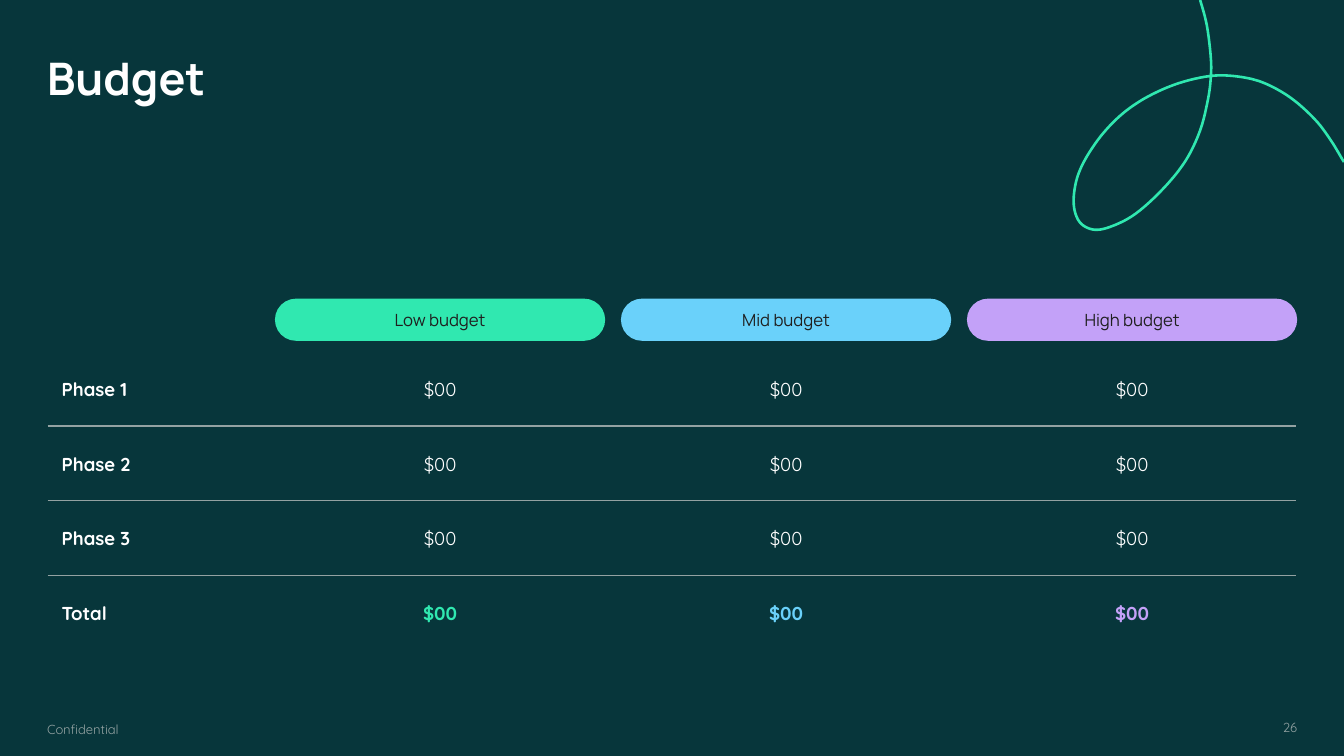
from dataclasses import dataclass

from lxml import etree
from pptx import Presentation
from pptx import util as u
from pptx.dml.color import RGBColor
from pptx.enum import shapes, text
from pptx.oxml import ns


@dataclass(frozen=True)
class Theme:
    background: str = "07363B"
    white: str = "FFFFFF"
    dark: str = "1F1F1F"
    muted: str = "93A2A2"
    green: str = "30E8B0"
    blue: str = "6AD1FA"
    violet: str = "C3A1F8"
    heading_font: str = "Manrope"
    body_font: str = "Quicksand"
    title_size: float = 24
    cell_size: float = 10
    pill_size: float = 9
    small_size: float = 7


LEFT, CENTER, RIGHT = text.PP_ALIGN.LEFT, text.PP_ALIGN.CENTER, text.PP_ALIGN.RIGHT


class SlideBuilder:
    """Holds the theme and the current slide; all lengths are points."""

    def __init__(self, slide, theme):
        self.slide = slide
        self.theme = theme
        fill = slide.background.fill
        fill.solid()
        fill.fore_color.rgb = RGBColor.from_string(theme.background)

    def set_words(self, shape, words, size, color, font=None, bold=False, align=LEFT,
                  anchor=text.MSO_ANCHOR.TOP, bottom=7.2):
        frame = shape.text_frame
        frame.text = words
        frame.word_wrap = True
        frame.auto_size = text.MSO_AUTO_SIZE.NONE
        frame.vertical_anchor = anchor
        frame.margin_left = frame.margin_right = frame.margin_top = u.Pt(7.2)
        frame.margin_bottom = u.Pt(bottom)
        paragraph = frame.paragraphs[0]
        paragraph.alignment = align
        paragraph.space_before = u.Pt(0)
        run_font = paragraph.runs[0].font
        run_font.name = font or self.theme.body_font
        run_font.size = u.Pt(size)
        run_font.bold = bold
        run_font.color.rgb = RGBColor.from_string(color)
        return paragraph

    def placeholder(self, index, box, words, size, color, **style):
        shape = self.slide.placeholders[index]
        shape.left, shape.top, shape.width, shape.height = map(u.Pt, box)
        return self.set_words(shape, words, size, color, **style)

    def label(self, box, words, size, color, **style):
        shape = self.slide.shapes.add_textbox(*map(u.Pt, box))
        return self.set_words(shape, words, size, color, **style)

    def pill(self, box, words, color):
        shape = self.slide.shapes.add_shape(
            shapes.MSO_SHAPE.ROUNDED_RECTANGLE, *map(u.Pt, box))
        shape.adjustments[0] = 0.5
        shape.shadow.inherit = False
        shape.fill.solid()
        shape.fill.fore_color.rgb = RGBColor.from_string(color)
        shape.line.fill.background()
        self.set_words(shape, words, self.theme.pill_size, self.theme.dark,
                       font=self.theme.heading_font, align=CENTER,
                       anchor=text.MSO_ANCHOR.MIDDLE)

    def rule(self, left, right, y):
        line = self.slide.shapes.add_connector(
            shapes.MSO_CONNECTOR.STRAIGHT, u.Pt(left), u.Pt(y), u.Pt(right), u.Pt(y))
        line.line.color.rgb = RGBColor.from_string(self.theme.muted)
        line.line.width = u.Pt(0.75)
        etree.SubElement(line._element.spPr, ns.qn("a:effectLst"))

    def curve(self, knots, color, width, steps=6):
        """Draw a smooth open line through the knots (Catmull-Rom)."""
        padded = [knots[0], *knots, knots[-1]]
        points = [knots[0]]
        for a, b, c, d in zip(padded, padded[1:], padded[2:], padded[3:]):
            for step in range(1, steps + 1):
                t = step / steps
                points.append(tuple(
                    q + t / 2 * (r - p + t * (2 * p - 5 * q + 4 * r - s
                                              + t * (3 * q - p - 3 * r + s)))
                    for p, q, r, s in zip(a, b, c, d)))
        points = [(u.Pt(x), u.Pt(y)) for x, y in points]
        builder = self.slide.shapes.build_freeform(*points[0])
        builder.add_line_segments(points[1:], close=False)
        shape = builder.convert_to_shape()
        shape.shadow.inherit = False
        shape.fill.background()
        shape.line.color.rgb = RGBColor.from_string(color)
        shape.line.width = u.Pt(width)


LOOP = [
    (643, 0), (646.6, 13.7), (648.7, 31), (648.7, 41), (647.3, 52.6), (643, 69.8),
    (635, 86.4), (622.8, 101.5), (608.4, 114.5), (596.2, 121), (586.8, 123.1),
    (579.6, 120.2), (576, 113.8), (575.3, 105.1), (577.4, 94.3), (582.5, 83.5),
    (591.1, 71.3), (601.9, 60.5), (614.9, 51.8), (631.4, 44.6), (648.7, 40.7),
    (663.1, 41), (676.8, 44.3), (691.2, 52.2), (704.2, 63.7), (712.8, 74.9),
    (720, 86.8),
]


def main():
    theme = Theme()
    presentation = Presentation()
    presentation.slide_width, presentation.slide_height = u.Pt(720), u.Pt(405)
    slide = presentation.slides.add_slide(presentation.slide_layouts[0])
    builder = SlideBuilder(slide, theme)

    # Decorative loop, title, footer
    builder.curve(LOOP, theme.green, 1.4)
    builder.placeholder(0, (18, 20.2, 378, 44), "Budget", theme.title_size,
                        theme.white, font=theme.heading_font, bold=True)
    footer = builder.placeholder(1, (18, 378, 88, 24.5), "Confidential",
                                 theme.small_size, theme.muted)
    footer.line_spacing = 1.15
    builder.label((529.2, 378, 172.8, 23), "26", theme.small_size, theme.muted,
                  align=RIGHT)

    # Budget grid
    budgets = [("Low budget", theme.green), ("Mid budget", theme.blue),
               ("High budget", theme.violet)]
    rows = ["Phase 1", "Phase 2", "Phase 3", "Total"]
    pill_left, pill_width, column_step = 147.3, 176.9, 185.35
    row_top, row_step = 195.2, 40
    cell_width, cell_height = 60, 19.5

    # Column heads
    for column, (name, color) in enumerate(budgets):
        builder.pill((pill_left + column * column_step, 160, pill_width, 22.6),
                     name, color)

    # Rows with a rule under each phase
    for row, name in enumerate(rows):
        top = row_top + row * row_step
        is_total = name == "Total"
        builder.label((26, top, cell_width, cell_height), name, theme.cell_size,
                      theme.white, bold=True, bottom=0)
        for column, (_, color) in enumerate(budgets):
            left = pill_left + column * column_step + (pill_width - cell_width) / 2
            builder.label((left, top, cell_width, cell_height), "$00",
                          theme.cell_size, color if is_total else theme.white,
                          bold=is_total, align=CENTER, bottom=0)
        if not is_total:
            builder.rule(25.5, 694.5, top + 33)

    presentation.save("out.pptx")


if __name__ == "__main__":
    main()
